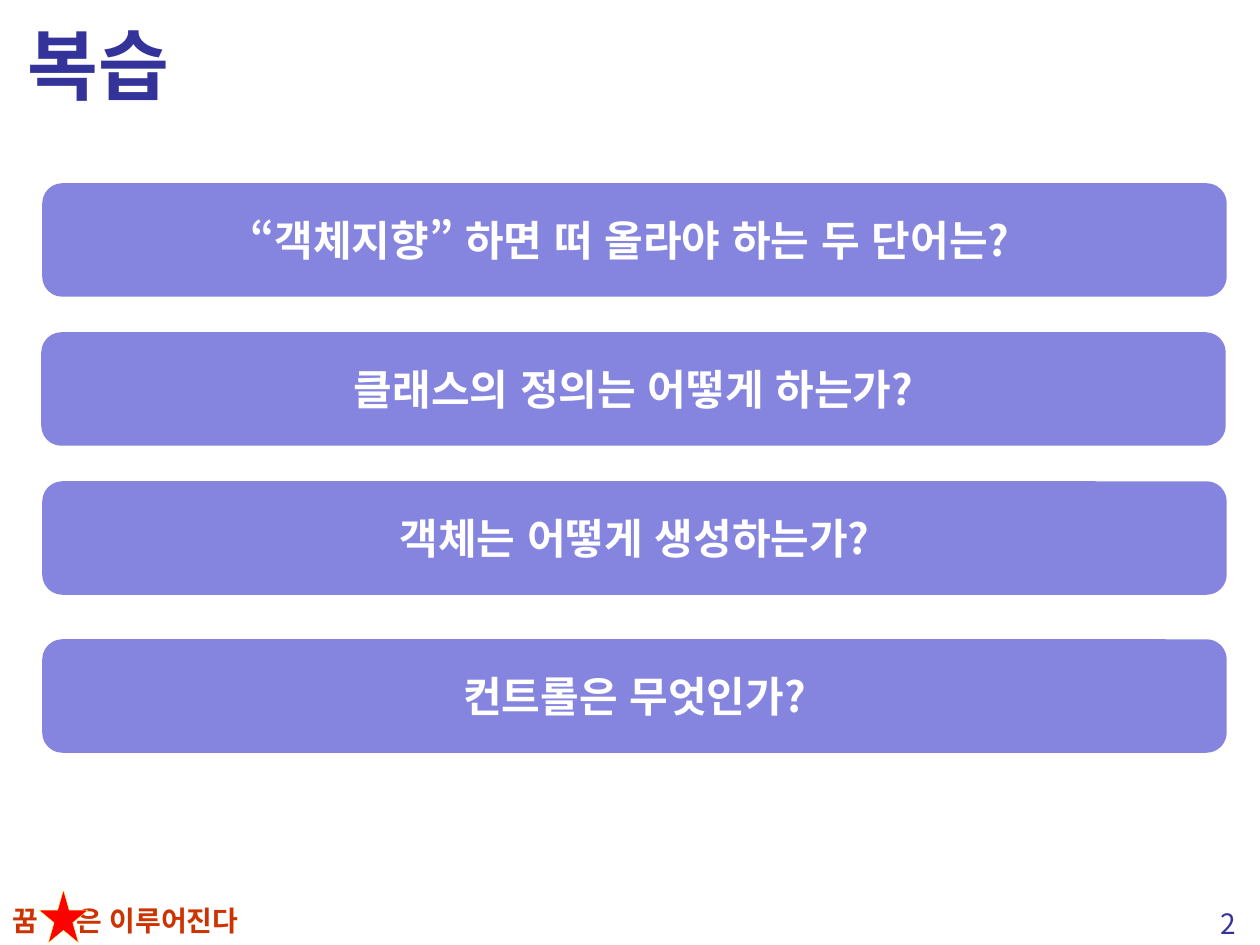
from lxml.etree import SubElement
from pptx import Presentation
from pptx.dml.color import RGBColor
from pptx.enum.lang import MSO_LANGUAGE_ID
from pptx.enum.shapes import MSO_SHAPE
from pptx.enum.text import MSO_ANCHOR, MSO_AUTO_SIZE, PP_ALIGN
from pptx.oxml.ns import qn
from pptx.util import Pt

PX = 914400 / 126
FONT = "Noto Sans CJK KR"
NAVY, LAVENDER, RUST = "333399", "8585E0", "CC3300"
WHITE, RED, YELLOW = "FFFFFF", "FF0000", "FFFF66"


def px(length):
    return round(length * PX)


def color(code):
    return RGBColor.from_string(code)


def add_words(frame, words, size, code, bold=True, align=PP_ALIGN.LEFT):
    paragraph = frame.paragraphs[0]
    paragraph.alignment = align
    run = paragraph.add_run()
    run.text = words
    font = run.font
    font.name, font.size, font.bold = FONT, Pt(size), bold
    font.language_id = MSO_LANGUAGE_ID.KOREAN
    font.color.rgb = color(code)
    SubElement(run._r.get_or_add_rPr(), qn("a:ea"), typeface=FONT)
    return paragraph


def add_label(slide, box, grow=True, wrap=True):
    frame = slide.shapes.add_textbox(*map(px, box)).text_frame
    frame.word_wrap = wrap
    if grow:
        frame.auto_size = MSO_AUTO_SIZE.SHAPE_TO_FIT_TEXT
    return frame


def add_figure(slide, kind, box, fill, outline, width):
    figure = slide.shapes.add_shape(kind, *map(px, box))
    figure.shadow.inherit = False
    figure.fill.solid()
    figure.fill.fore_color.rgb = color(fill)
    figure.line.color.rgb = color(outline)
    figure.line.width = Pt(width)
    return figure


def add_motto(slide, left, top, width, height):
    motto = add_label(slide, (left, top, width, height))
    paragraph = add_words(motto, "꿈\t은 이루어진다", 16, RUST)
    stops = SubElement(paragraph._p.get_or_add_pPr(), qn("a:tabLst"))
    SubElement(stops, qn("a:tab"), pos=str(px(64)), algn="l")
    star_box = (left + 39, top - 7, 49, 53)
    add_figure(slide, MSO_SHAPE.STAR_5_POINT, star_box, RED, YELLOW, 0.25)


def add_page_number(slide, left, top, width, height):
    number = add_label(slide, (left, top, width, height), wrap=False)
    add_words(number, "2", 16, NAVY, bold=False, align=PP_ALIGN.CENTER)


def add_title(slide, left, top, width, height):
    title = add_label(slide, (left, top, width, height), grow=False)
    title.vertical_anchor = MSO_ANCHOR.MIDDLE
    add_words(title, "복습", 44, NAVY)


def add_questions(slide, left, top, width, height):
    questions = [
        (1, 0, "“객체지향” 하면 떠 올라야 하는 두 단어는? "),
        (0, 149, "클래스의 정의는 어떻게 하는가?"),
        (1, 298, "객체는 어떻게 생성하는가?"),
        (1, 456, "컨트롤은 무엇인가?"),
    ]
    for across, down, question in questions:
        bar_box = (left + across, top + down, width, height)
        bar = add_figure(slide, MSO_SHAPE.ROUNDED_RECTANGLE, bar_box,
                         LAVENDER, LAVENDER, 2)
        frame = bar.text_frame
        frame.word_wrap = True
        frame.vertical_anchor = MSO_ANCHOR.MIDDLE
        add_words(frame, question, 24, WHITE, align=PP_ALIGN.CENTER)


def main():
    deck = Presentation()
    deck.slide_width, deck.slide_height = px(1260), px(945)
    slide = deck.slides.add_slide(deck.slide_layouts[6])
    add_motto(slide, 0, 897, 312, 47)
    add_page_number(slide, 1196, 900, 64, 47)
    add_title(slide, 15, 8, 1230, 111)
    add_questions(slide, 43, 185, 1181, 110)
    deck.save("out.pptx")


if __name__ == "__main__":
    main()
